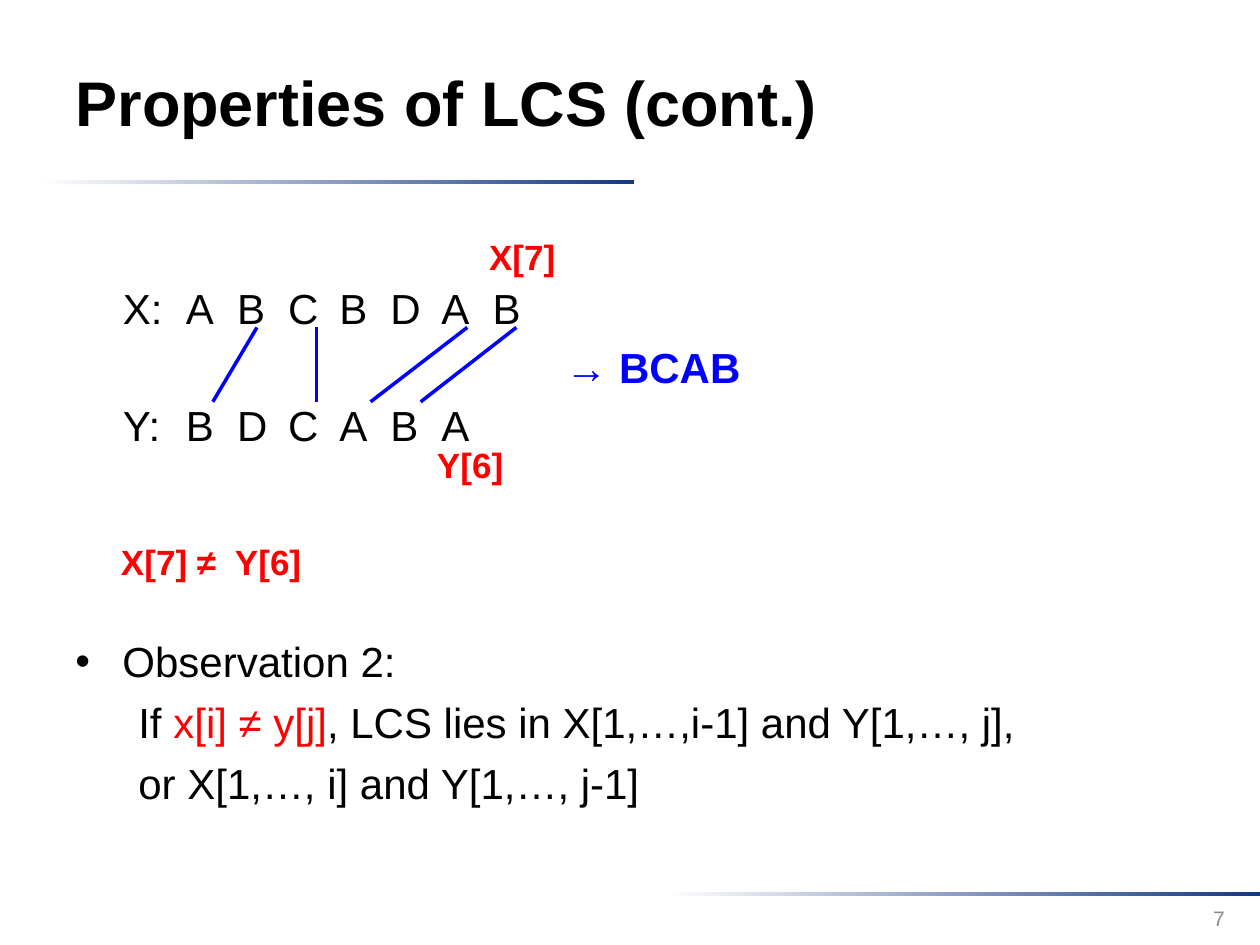
import pptx
import pptx.dml.color
import pptx.enum.shapes
import pptx.enum.text
import pptx.oxml.ns
import pptx.util
from lxml import etree

Cm = pptx.util.Cm
Pt = pptx.util.Pt
ALIGN = pptx.enum.text.PP_ALIGN
ANCHOR = pptx.enum.text.MSO_ANCHOR
qn = pptx.oxml.ns.qn

COLORS = {"text": "000000", "mark": "FF0000", "match": "0000FF",
          "rule": "133984", "paper": "FFFFFF", "number": "8C8C8C"}
FIRST_LETTER = 1.27
LETTER_PITCH = 1.03
ROW_PITCH = 1.18


def rgb(name):
    return pptx.dml.color.RGBColor.from_string(COLORS[name])


def add_run(p, text, size=24, color="text", bold=False):
    r = p.add_run()
    r.text = text
    r.font.name = "Arial"
    r.font.size = Pt(size)
    r.font.bold = bold
    r.font.color.rgb = rgb(color)


def add_box(s, box, anchor=ANCHOR.TOP):
    tf = s.shapes.add_textbox(*map(Cm, box)).text_frame
    tf.word_wrap = True
    tf.vertical_anchor = anchor
    tf.margin_left = tf.margin_right = tf.margin_top = tf.margin_bottom = 0
    return tf


def add_text(s, box, text, align=ALIGN.LEFT, anchor=ANCHOR.TOP, **fmt):
    p = add_box(s, box, anchor).paragraphs[0]
    p.alignment = align
    add_run(p, text, **fmt)
    return p


def add_title(s, box, text):
    sp = s.shapes.title
    sp.left, sp.top, sp.width, sp.height = map(Cm, box)
    tf = sp.text_frame
    tf.vertical_anchor = ANCHOR.MIDDLE
    p = tf.paragraphs[0]
    p.alignment = ALIGN.LEFT
    add_run(p, text, size=36, bold=True)


def add_rule(s, box):
    sp = s.shapes.add_shape(pptx.enum.shapes.MSO_SHAPE.RECTANGLE, *map(Cm, box))
    sp.shadow.inherit = False
    sp.line.fill.background()
    sp.fill.gradient()
    sp.fill.gradient_angle = 0
    for stop, name, position in zip(sp.fill.gradient_stops, ("paper", "rule"), (0, 1)):
        stop.color.rgb = rgb(name)
        stop.position = position


def add_sequence(s, box, name, letters):
    p = add_text(s, box, "\t".join([name + ":", *letters]))
    tabs = etree.SubElement(p._p.get_or_add_pPr(), qn("a:tabLst"))
    for i in range(len(letters)):
        position = Cm(FIRST_LETTER + i * LETTER_PITCH)
        etree.SubElement(tabs, qn("a:tab"), pos=str(position), algn="l")


def add_match(s, start, end):
    line = s.shapes.add_connector(pptx.enum.shapes.MSO_CONNECTOR.STRAIGHT,
                                  *map(Cm, start + end))
    line.line.color.rgb = rgb("match")
    line.line.width = Pt(2)
    etree.SubElement(line._element.spPr, qn("a:effectLst"))


def add_alignment(s, box):
    left, top, width, height = box
    add_sequence(s, (left, top, width, 1), "X", "ABCBDAB")
    add_sequence(s, (left, top + 2 * ROW_PITCH, width, 1), "Y", "BDCABA")
    for x1, x2 in ((2.7, 1.81), (3.9, 3.9), (6.94, 4.99), (7.93, 6)):
        add_match(s, (left + x1, top + 0.9), (left + x2, top + 2.4))
    add_text(s, (left + 8.92, top + ROW_PITCH, 5, 1), "→ BCAB",
             color="match", bold=True)
    for x, y, text in ((7.38, -0.95, "X[7]"), (6.33, 3.24, "Y[6]"),
                       (-0.04, 5.2, "X[7] ≠  Y[6]")):
        add_text(s, (left + x, top + y, 4.5, 0.9), text,
                 size=20, color="mark", bold=True)


def add_observation(s, box):
    tf = add_box(s, box)
    lines = (
        (("Observation 2:", "text"),),
        (("If ", "text"), ("x[i] ≠ y[j]", "mark"),
         (", LCS lies in X[1,…,i-1] and Y[1,…, j],", "text")),
        (("or X[1,…, i] and Y[1,…, j-1]", "text"),),
    )
    for i, runs in enumerate(lines):
        p = tf.add_paragraph() if i else tf.paragraphs[0]
        p.space_before = Pt(5.8 if i else 0)
        for text, color in runs:
            add_run(p, text, color=color)
        pPr = p._p.get_or_add_pPr()
        pPr.set("marL", str(Cm(1.27 if i else 0.95)))
        if i == 0:
            pPr.set("indent", str(-Cm(0.95)))
            etree.SubElement(pPr, qn("a:buFont"), typeface="Arial")
            etree.SubElement(pPr, qn("a:buChar"), char="•")


def main():
    prs = pptx.Presentation()
    prs.slide_width, prs.slide_height = Cm(25.4), Cm(19.05)
    s = prs.slides.add_slide(prs.slide_layouts[5])
    add_rule(s, (0.79, 3.63, 12, 0.08))
    add_rule(s, (13.4, 17.98, 12, 0.08))
    add_title(s, (1.27, 0.46, 19.63, 3.17), "Properties of LCS (cont.)")
    add_alignment(s, (2.48, 5.7, 12, 6))
    add_observation(s, (1.52, 12.82, 22.3, 3.8))
    add_text(s, (19, 18, 5.69, 1.02), "7", align=ALIGN.RIGHT,
             anchor=ANCHOR.MIDDLE, size=12, color="number")
    prs.save("out.pptx")


if __name__ == "__main__":
    main()
